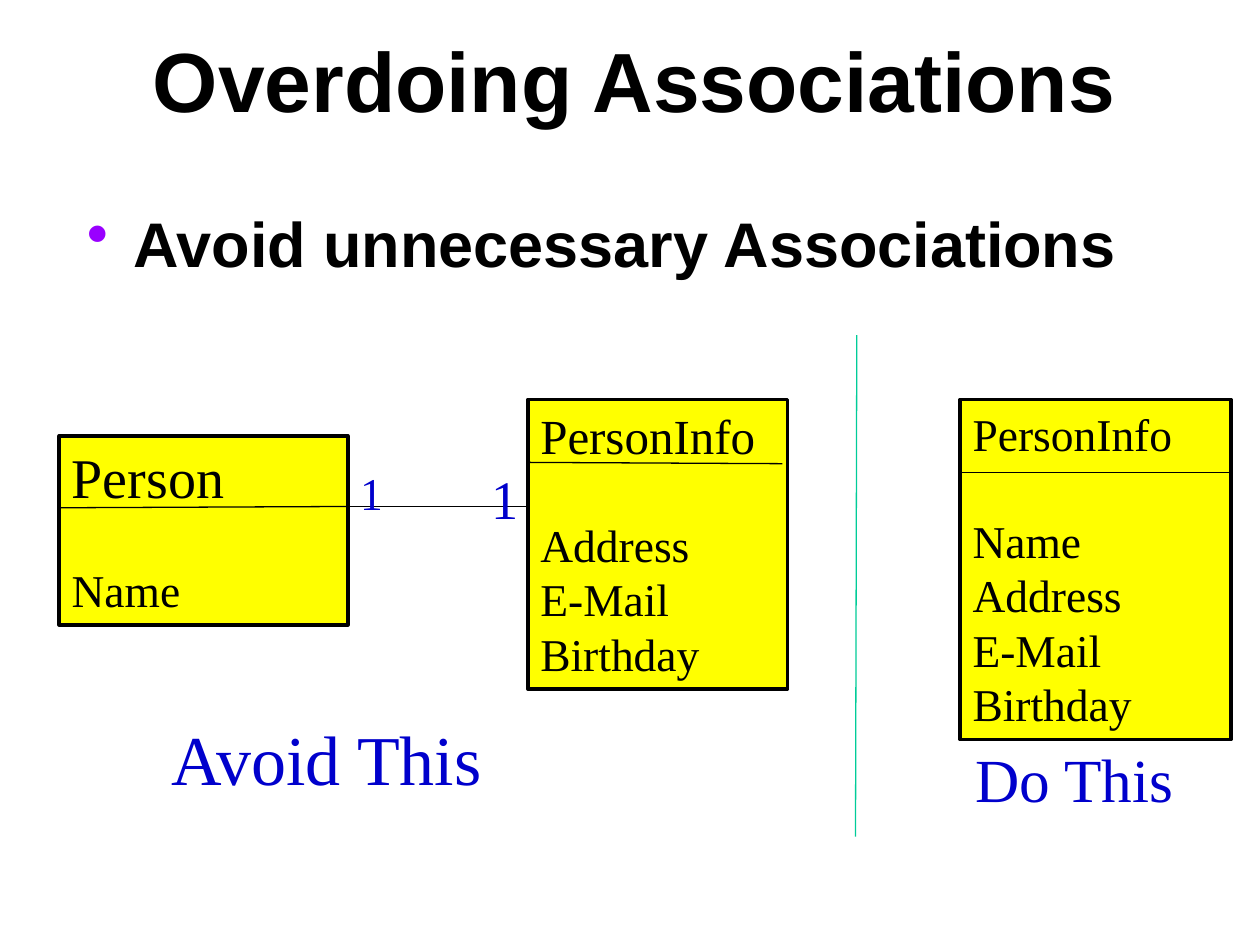
from dataclasses import dataclass

from lxml.etree import SubElement
from pptx import Presentation
from pptx.dml.color import RGBColor
from pptx.enum.shapes import MSO_CONNECTOR, MSO_SHAPE
from pptx.enum.text import MSO_ANCHOR, MSO_AUTO_SIZE, PP_ALIGN
from pptx.oxml.ns import qn
from pptx.util import Inches, Pt


@dataclass(frozen=True)
class Theme:
    """Colours, fonts and type sizes of the slide."""
    black: str = "000000"
    blue: str = "0000CC"
    yellow: str = "FFFF00"
    teal: str = "00CC98"
    purple: str = "9900FF"
    heading: str = "Arial"
    body: str = "Times New Roman"
    title_size: int = 48
    bullet_size: int = 36
    member_size: int = 26
    member_gap: int = 30


THEME = Theme()


def style_text(p, size, color, font=THEME.body, bold=False):
    """Format every run of a paragraph."""
    for r in p.runs:
        r.font.name = font
        r.font.size = Pt(size)
        r.font.bold = bold
        r.font.color.rgb = RGBColor.from_string(color)


def set_frame(tf, left=0.1, top=0.05, right=0.1, anchor=MSO_ANCHOR.TOP):
    """Set the insets, wrapping and anchor of a text frame."""
    tf.word_wrap = True
    tf.auto_size = MSO_AUTO_SIZE.NONE
    tf.vertical_anchor = anchor
    tf.margin_left, tf.margin_right = Inches(left), Inches(right)
    tf.margin_top = tf.margin_bottom = Inches(top)


def set_title(s, text):
    """Place and format the title placeholder."""
    sp = s.shapes.title
    sp.left, sp.top = Inches(0.77), Inches(0)
    sp.width, sp.height = Inches(8.53), Inches(1.25)
    tf = sp.text_frame
    set_frame(tf, 0, 0, 0, MSO_ANCHOR.MIDDLE)
    tf.text = text
    p = tf.paragraphs[0]
    p.alignment = PP_ALIGN.CENTER
    style_text(p, THEME.title_size, THEME.black, THEME.heading, True)


def add_bullet(s, text):
    """Add the bulleted statement under the title."""
    sp = s.shapes.add_textbox(Inches(0.69), Inches(1.56), Inches(9), Inches(4.95))
    tf = sp.text_frame
    set_frame(tf, 0, 0, 0)
    tf.text = text
    p = tf.paragraphs[0]
    p.line_spacing = 1.1
    p.space_after = Pt(13.8)
    pPr = p._p.get_or_add_pPr()
    pPr.set("marL", str(Inches(0.37)))
    pPr.set("indent", str(-Inches(0.37)))
    bullet_color = SubElement(pPr, qn("a:buClr"))
    SubElement(bullet_color, qn("a:srgbClr"), val=THEME.purple)
    SubElement(pPr, qn("a:buChar"), char="•")
    style_text(p, THEME.bullet_size, THEME.black, THEME.heading, True)


def add_label(s, text, left, top, width, height, size, inset=0.1):
    """Add a blue caption or multiplicity."""
    sp = s.shapes.add_textbox(Inches(left), Inches(top), Inches(width), Inches(height))
    set_frame(sp.text_frame, inset)
    sp.text_frame.text = text
    style_text(sp.text_frame.paragraphs[0], size, THEME.blue)


def add_line(s, x1, y1, x2, y2, color=THEME.black):
    """Add a thin straight line."""
    line = s.shapes.add_connector(MSO_CONNECTOR.STRAIGHT, Inches(x1), Inches(y1), Inches(x2), Inches(y2))
    line.line.color.rgb = RGBColor.from_string(color)
    line.line.width = Pt(0.75)
    SubElement(line._element.spPr, qn("a:effectLst"))


def add_class(s, name, members, left, top, width, height, name_size, divider):
    """Add a class box with its name, divider and members."""
    sp = s.shapes.add_shape(MSO_SHAPE.RECTANGLE, Inches(left), Inches(top), Inches(width), Inches(height))
    sp.shadow.inherit = False
    sp.fill.solid()
    sp.fill.fore_color.rgb = RGBColor.from_string(THEME.yellow)
    sp.line.color.rgb = RGBColor.from_string(THEME.black)
    sp.line.width = Pt(2)
    tf = sp.text_frame
    set_frame(tf)
    tf.text = "\n".join([name, *members])
    for i, p in enumerate(tf.paragraphs):
        p.alignment = PP_ALIGN.LEFT
        style_text(p, THEME.member_size if i else name_size, THEME.black)
    tf.paragraphs[1].space_before = Pt(THEME.member_gap)
    x2, y1, y2 = divider
    add_line(s, left, y1, x2, y2)


def main():
    """Build and save the slide."""
    prs = Presentation()
    prs.slide_width, prs.slide_height = Inches(10), Inches(7.5)
    s = prs.slides.add_slide(prs.slide_layouts[5])
    set_title(s, "Overdoing Associations")
    add_bullet(s, "Avoid unnecessary Associations")

    details = ["Address", "E-Mail", "Birthday"]
    add_class(s, "Person", ["Name"], 0.47, 3.46, 2.29, 1.5, 32, (2.76, 4.03, 4.02))
    add_class(s, "PersonInfo", details, 4.19, 3.17, 2.06, 2.3, 28, (6.21, 3.67, 3.68))
    add_class(s, "PersonInfo", ["Name", *details], 7.62, 3.17, 2.15, 2.7, 26, (9.76, 3.75, 3.75))

    add_line(s, 2.76, 4.02, 4.19, 4.02)
    add_label(s, "1", 2.76, 3.64, 0.29, 0.54, 26)
    add_label(s, "1", 3.79, 3.64, 0.29, 0.63, 31, 0.11)
    add_label(s, "Avoid This", 0.86, 5.63, 3.77, 0.77, 40, 0.5)
    add_label(s, "Do This", 7.52, 5.83, 2.48, 0.69, 35, 0.22)
    add_line(s, 6.8, 2.66, 6.79, 6.64, THEME.teal)
    prs.save("out.pptx")


if __name__ == "__main__":
    main()
